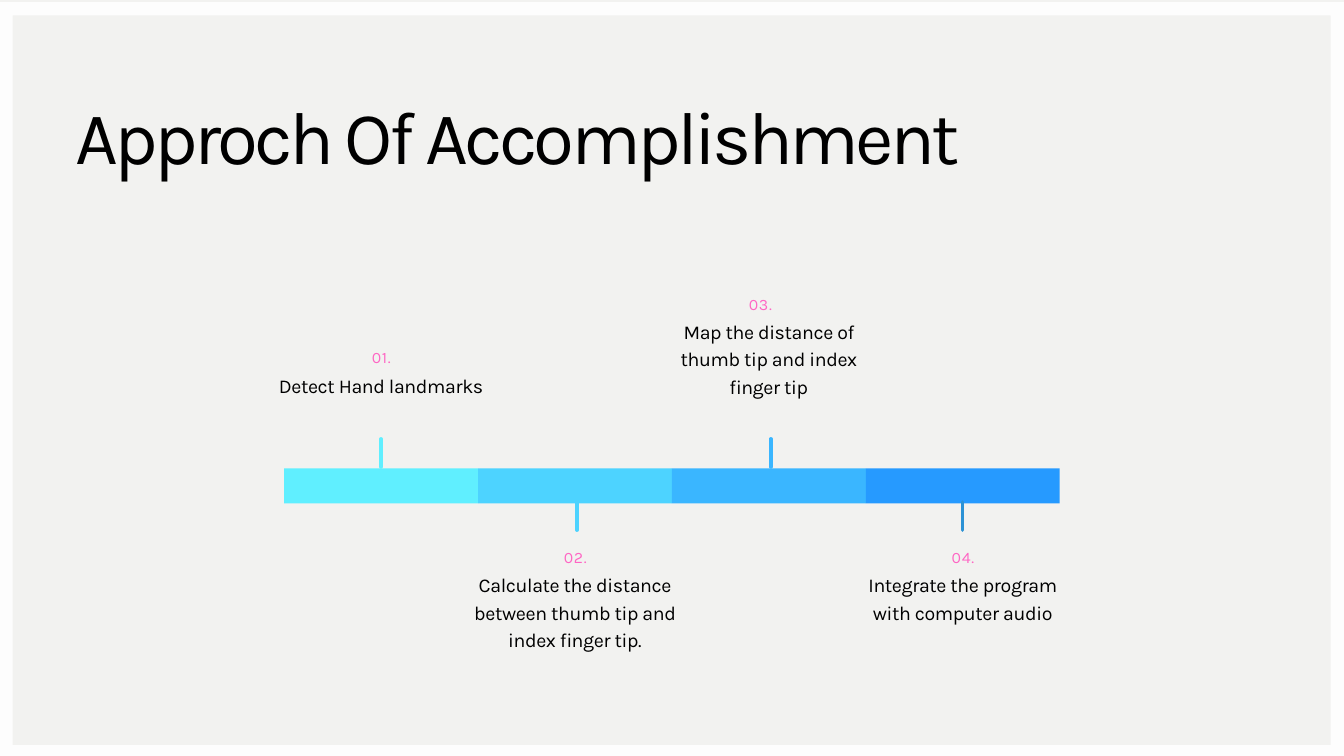
from collections import namedtuple
from dataclasses import dataclass

from lxml.etree import SubElement
from pptx import Presentation
from pptx.dml.color import RGBColor
from pptx.enum.shapes import MSO_CONNECTOR, MSO_SHAPE
from pptx.enum.text import PP_ALIGN
from pptx.oxml.ns import qn
from pptx.util import Inches, Pt


@dataclass(frozen=True)
class Theme:
    font: str = "Karla"
    background: str = "F2F2F0"
    frame: str = "FDFDFD"
    text: str = "000000"
    number: str = "FF66C4"
    title_size: float = 80
    label_size: float = 21
    number_size: float = 17
    tick_width: float = 3.75


THEME = Theme()
Box = namedtuple("Box", "left top width height")
Step = namedtuple("Step", "label lines above band tick tick_x number_x")

STEPS = [
    Step("Detect Hand landmarks", 1, True, "60EFFF", "60EFFF", 1.44, 1.2),
    Step("Calculate the distance between thumb tip and index finger tip.",
         3, False, "4DD3FF", "4DD3FF", 1.47, 1.2),
    Step("Map the distance of thumb tip and index finger tip",
         3, True, "3AB6FF", "3AB6FF", 1.47, 1.07),
    Step("Integrate the program with computer audio",
         2, False, "269AFF", "2C92D5", 1.44, 1.2),
]


def add_text(slide, box, text, *, size, color, leading, tracking, align):
    frame = slide.shapes.add_textbox(*map(Inches, box)).text_frame
    frame.word_wrap = True
    frame.margin_left = frame.margin_right = 0
    frame.margin_top = frame.margin_bottom = 0
    paragraph = frame.paragraphs[0]
    paragraph.alignment = align
    paragraph.line_spacing = Pt(leading)
    run = paragraph.add_run()
    run.text = text
    run.font.name = THEME.font
    run.font.size = Pt(size)
    run.font.color.rgb = RGBColor.from_string(color)
    run.font._element.set("spc", str(round(tracking * 100)))


def fill_plain(shape, color):
    shape.shadow.inherit = False
    shape.fill.solid()
    shape.fill.fore_color.rgb = RGBColor.from_string(color)
    shape.line.fill.background()


def add_frame(slide, box):
    right, bottom = box.left + box.width, box.top + box.height
    outer = [(box.left, box.top), (box.left, bottom), (right, bottom), (right, box.top)]
    inner_left, inner_right = box.left + 0.19, right - 0.2
    inner_top, inner_bottom = box.top + 0.2, bottom - 0.19
    inner = [(inner_right, inner_bottom), (inner_left, inner_bottom),
             (inner_left, inner_top), (inner_right, inner_top)]
    outer, inner = ([(Inches(x), Inches(y)) for x, y in ring] for ring in (outer, inner))
    builder = slide.shapes.build_freeform(*outer[0])
    builder.add_line_segments(outer[1:], close=True)
    builder.move_to(*inner[0])
    builder.add_line_segments(inner[1:], close=True)
    fill_plain(builder.convert_to_shape(), THEME.frame)


def add_tick(slide, x, top, color):
    tick = slide.shapes.add_connector(
        MSO_CONNECTOR.STRAIGHT, *map(Inches, (x, top, x, top + 0.42)))
    tick.line.width = Pt(THEME.tick_width)
    tick.line.color.rgb = RGBColor.from_string(color)
    tick.line._get_or_add_ln().set("cap", "rnd")
    SubElement(tick._element.spPr, qn("a:effectLst"))


def add_step_text(slide, box, number, step):
    add_text(slide, Box(box.left, box.top + 0.37, box.width, box.height - 0.37),
             step.label, size=THEME.label_size, color=THEME.text,
             leading=29.4, tracking=-0.4, align=PP_ALIGN.CENTER)
    add_text(slide, Box(box.left + step.number_x, box.top, 0.91, 0.31),
             f"{number:02}.", size=THEME.number_size, color=THEME.number,
             leading=23.8, tracking=0.8, align=PP_ALIGN.CENTER)


def add_timeline(slide, box, steps):
    band_width = box.width / len(steps)
    bottom = box.top + box.height
    for index, step in enumerate(steps):
        left = box.left + index * band_width
        band = slide.shapes.add_shape(
            MSO_SHAPE.RECTANGLE, *map(Inches, (left, box.top, band_width, box.height)))
        fill_plain(band, step.band)
        text_height = 0.37 + 0.4 * step.lines
        text_top = box.top - 1.07 - text_height if step.above else bottom + 0.61
        add_step_text(slide, Box(left - 0.21, text_top, 3.3, text_height), index + 1, step)
    for index, step in enumerate(steps):
        tick_top = box.top - 0.44 if step.above else bottom - 0.02
        add_tick(slide, box.left + index * band_width + step.tick_x, tick_top, step.tick)


def add_title(slide, box, text):
    add_text(slide, box, text, size=THEME.title_size, color=THEME.text,
             leading=88, tracking=-4, align=PP_ALIGN.LEFT)


def main():
    deck = Presentation()
    deck.slide_width, deck.slide_height = Inches(20), Inches(11.25)
    slide = deck.slides.add_slide(deck.slide_layouts[6])
    slide.background.fill.solid()
    slide.background.fill.fore_color.rgb = RGBColor.from_string(THEME.background)
    add_frame(slide, Box(0, 0.03, 20, 11.25))
    add_timeline(slide, Box(4.23, 6.97, 11.54, 0.52), STEPS)
    add_title(slide, Box(1.12, 1.45, 17.74, 1.28), "Approch Of Accomplishment")
    deck.save("out.pptx")


if __name__ == "__main__":
    main()
